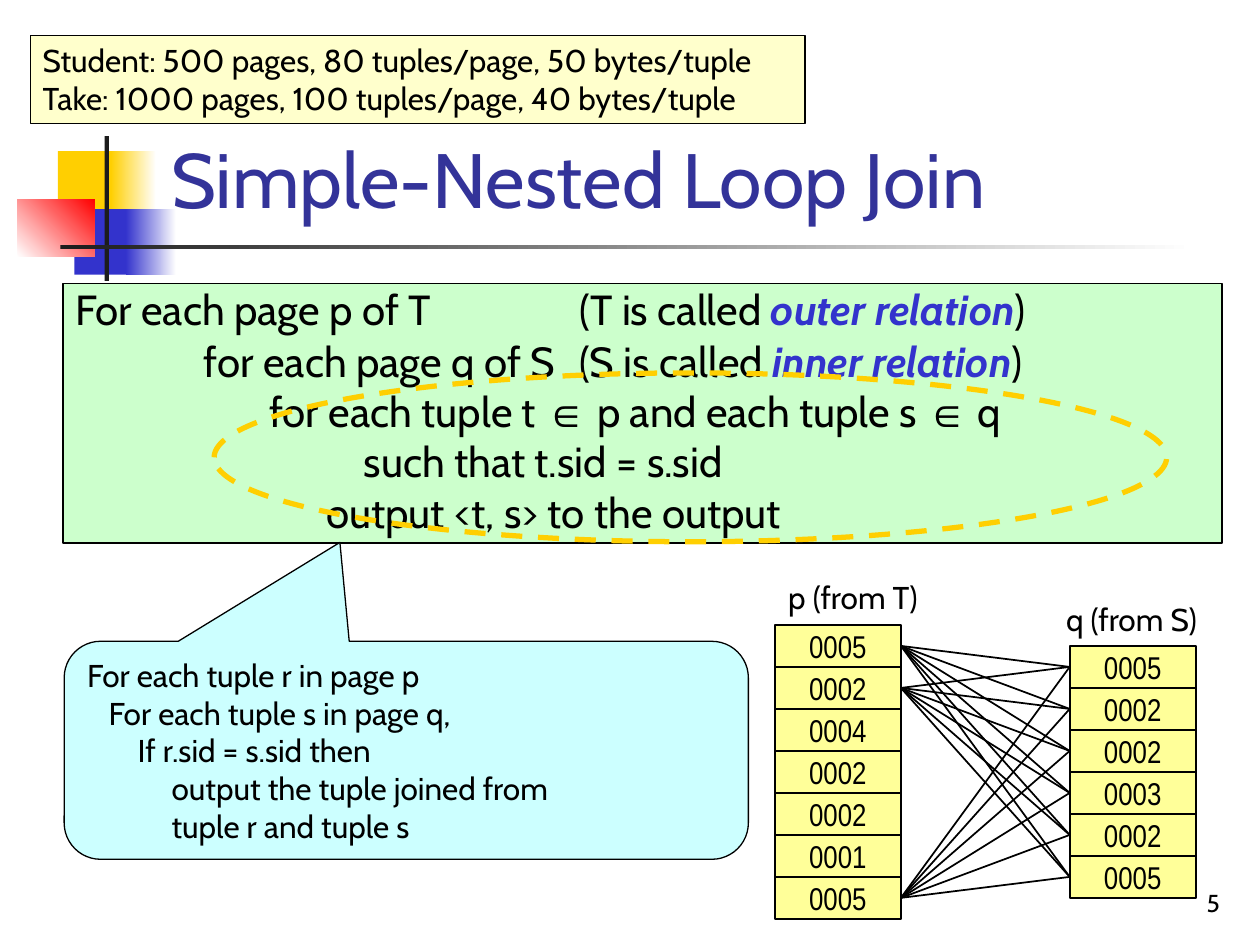
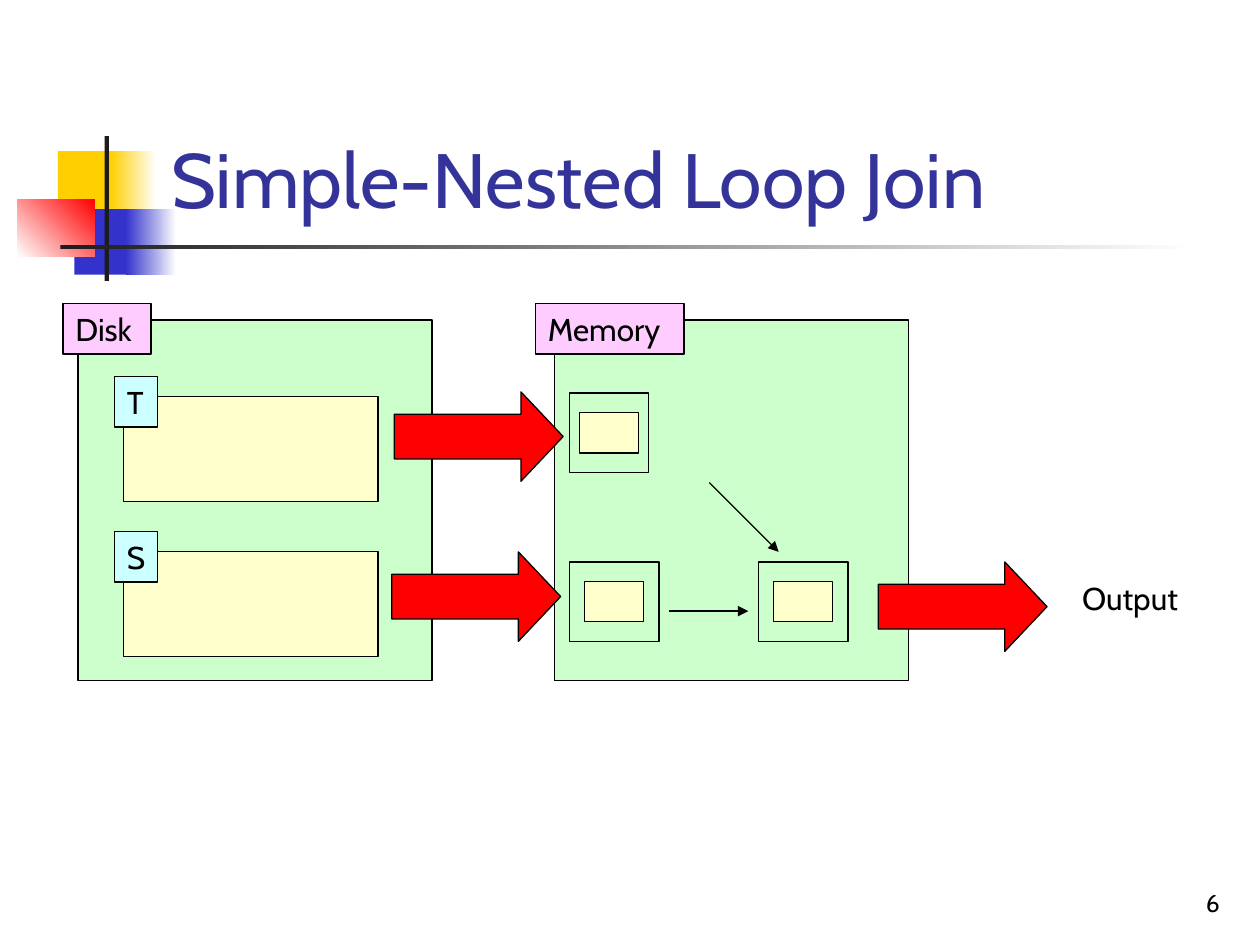
from dataclasses import dataclass
from itertools import product

from lxml.etree import SubElement as Sub
from pptx import Presentation
from pptx.dml.color import RGBColor as RGB
from pptx.enum.dml import MSO_LINE as Dash
from pptx.enum.shapes import MSO_CONNECTOR as Wire, MSO_SHAPE as Form
from pptx.enum.text import MSO_ANCHOR as Anchor, MSO_AUTO_SIZE as Fit, PP_ALIGN as Align
from pptx.oxml.ns import qn
from pptx.util import Inches, Pt

CELL = 0.1


@dataclass(frozen=True)
class Theme:
    """Colours, fonts and type sizes of the deck."""
    ink: str = "000000"
    white: str = "FFFFFF"
    dark: str = "1C1C1C"
    gold: str = "FFCF01"
    blue: str = "3333CC"
    red: str = "FF0000"
    title: str = "333399"
    green: str = "CCFFCC"
    cream: str = "FFFFCC"
    lemon: str = "FFFF99"
    aqua: str = "CCFFFF"
    pink: str = "FFCCFF"
    face: str = "Cabin"
    math: str = "Arial"
    data: str = "Arial Narrow"
    head: int = 44
    code: int = 24
    text: int = 18
    page: int = 14


T = Theme()


@dataclass(frozen=True)
class Box:
    """A region measured in grid cells."""
    x: float
    y: float
    w: float
    h: float

    def area(self, x, y, w, h):
        """Return a box offset from this one."""
        return Box(self.x + x, self.y + y, w, h)

    def mid(self, w, h):
        """Return a box centred in this one."""
        return self.area((self.w - w) / 2, (self.h - h) / 2, w, h)

    def emu(self):
        """Return left, top, width and height as lengths."""
        return [Inches(v * CELL) for v in (self.x, self.y, self.w, self.h)]


PAGE = Box(0, 0, 100, 75)


def apply(item, vals):
    """Set each named attribute of an item."""
    for key, val in vals.items():
        setattr(item, key, val)


def style(run, size=T.text, tint=T.ink, face=T.face, **more):
    """Format one run of text."""
    apply(run.font, {"size": Pt(size), "name": face, **more})
    run.font.color.rgb = RGB.from_string(tint)


def write(frame, lines, size=T.text, face=T.face, tint=T.ink,
          align=Align.LEFT, anchor=Anchor.TOP):
    """Fill a text frame with (indent, tab, runs) lines."""
    apply(frame, {"word_wrap": True, "auto_size": Fit.NONE, "vertical_anchor": anchor})
    for i, (inset, tab, runs) in enumerate(lines):
        para = frame.add_paragraph() if i else frame.paragraphs[0]
        para.alignment = align
        props = para._p.get_or_add_pPr()
        if inset:
            props.set("marL", "0")
            props.set("indent", str(Inches(inset * CELL)))
        if tab:
            stops = Sub(props, qn("a:tabLst"))
            Sub(stops, qn("a:tab"), pos=str(Inches(tab * CELL)), algn="l")
        for text, more in runs:
            run = para.add_run()
            run.text = text
            style(run, **{"size": size, "face": face, "tint": tint, **more})


def plain(*texts):
    """Turn strings into unindented lines."""
    return [(0, 0, [(text, {})]) for text in texts]


def shape(slide, box, fill=None, line=0.75, form=Form.RECTANGLE, tint=T.ink, adj=()):
    """Draw a preset shape; a pair of colours and an angle make a gradient."""
    item = slide.shapes.add_shape(form, *box.emu())
    item.shadow.inherit = False
    for i, val in enumerate(adj):
        item.adjustments[i] = val
    if isinstance(fill, tuple):
        first, last, angle = fill
        item.fill.gradient()
        item.fill.gradient_angle = angle
        for stop, hue, pos in zip(item.fill.gradient_stops, (first, last), (0, 1)):
            stop.color.rgb = RGB.from_string(hue)
            stop.position = pos
    elif fill:
        item.fill.solid()
        item.fill.fore_color.rgb = RGB.from_string(fill)
    else:
        item.fill.background()
    if line:
        item.line.width = Pt(line)
        item.line.color.rgb = RGB.from_string(tint)
    else:
        item.line.fill.background()
    return item


def label(slide, box, *texts, fill=None, **fmt):
    """Draw text in a box, outlined when it has a fill."""
    item = (shape(slide, box, fill) if fill
            else slide.shapes.add_textbox(*box.emu()))
    write(item.text_frame, plain(*texts), **fmt)


def link(slide, start, end, width=0.75, arrow=False):
    """Draw a straight line between two grid points."""
    ends = [Inches(v * CELL) for v in (*start, *end)]
    item = slide.shapes.add_connector(Wire.STRAIGHT, *ends)
    item.line.width = Pt(width)
    item.line.color.rgb = RGB.from_string(T.ink)
    props = item.element.spPr
    if arrow:
        Sub(props.find(qn("a:ln")), qn("a:tailEnd"), type="triangle")
    Sub(props, qn("a:effectLst"))


def brand(slide, box):
    """Move the squares and rules of the title band to the layout."""
    layout = slide.slide_layout
    for spot in list(layout.placeholders)[1:]:
        layout.shapes.element.remove(spot.element)
    for place, fill in (
        ((4.6, 12, 4.8, 5.2), T.gold),
        ((8.8, 12, 3.6, 5.2), (T.gold, T.white, 0)),
        ((5.9, 16.6, 4.6, 5.2), T.blue),
        ((10, 16.6, 4, 5.2), (T.blue, T.white, 0)),
        ((1.4, 15.8, 6.1, 4.6), (T.white, T.red, 45)),
        ((8.3, 10.8, 0.35, 11.5), T.dark),
        ((4.8, 19.45, 90, 0.35), (T.dark, T.white, 0)),
    ):
        item = shape(slide, box.area(*place), fill, line=0)
        layout.shapes.element.append(item.element)


def start(slide, box, page):
    """Place the title and the page number."""
    title = slide.shapes.title
    names = ("left", "top", "width", "height")
    apply(title, dict(zip(names, box.area(12.6, 2.3, 85.2, 16).emu())))
    write(title.text_frame, plain("Simple-Nested Loop Join"), T.head,
          tint=T.title, anchor=Anchor.BOTTOM)
    label(slide, box.area(77, 68.3, 20.8, 5), str(page), size=T.page,
          align=Align.RIGHT, anchor=Anchor.BOTTOM)


def loops(slide, box):
    """Show the nested loops and ring the inner steps."""
    term = {"tint": T.blue, "bold": True, "italic": True}
    sign = ("∈", {"face": T.math})
    frame = shape(slide, box, T.green).text_frame
    write(frame, [
        (0, 40, [("For each page p of T\t(T is called ", {}),
                 ("outer relation", term), (")", {})]),
        (10.2, 45, [("for each page q of S\t(S is called ", {}),
                    ("inner relation", term), (")", {})]),
        (15.4, 0, [("for each tuple t ", {}), sign,
                   (" p and each tuple s ", {}), sign, (" q", {})]),
        (22.9, 0, [("such that t.sid = s.sid", {})]),
        (19.9, 0, [("output <t, s> to the output", {})]),
    ], T.code)
    apply(frame.paragraphs[0], {"line_spacing": 0.9, "space_before": Pt(6)})
    ring = shape(slide, box.area(12, 7.1, 75.6, 13.4), line=3, form=Form.OVAL, tint=T.gold)
    ring.line.dash_style = Dash.DASH


def note(slide, box):
    """Explain the ringed step in a callout."""
    item = shape(slide, box, T.aqua, form=Form.ROUNDED_RECTANGULAR_CALLOUT,
                 adj=(-0.097, -0.954, 0.167))
    steps = (
        (0, "For each tuple r in page p"),
        (1.7, "For each tuple s in page q,"),
        (4, "If r.sid = s.sid then"),
        (6.7, "output the tuple joined from"),
        (6.7, "tuple r and tuple s"),
    )
    write(item.text_frame, [(inset, 0, [(text, {})]) for inset, text in steps],
          anchor=Anchor.MIDDLE)


def stack(slide, box, keys):
    """Pile one cell per key and return the row centres."""
    step = box.h / len(keys)
    for i, key in enumerate(keys):
        cell = shape(slide, box.area(0, i * step, box.w, step), T.lemon, line=1)
        write(cell.text_frame, plain(key), face=T.data,
              align=Align.CENTER, anchor=Anchor.MIDDLE)
    return [box.y + (i + 0.5) * step for i in range(len(keys))]


def match(slide, box):
    """Compare the tuples of two pages."""
    outer = "0005 0002 0004 0002 0002 0001 0005".split()
    inner = "0005 0002 0002 0003 0002 0005".split()
    row, wide = box.h / len(outer), 10
    right = box.w - wide
    lefts = stack(slide, box.area(0, 0, wide, box.h), outer)
    rights = stack(slide, box.area(right, row / 2, wide, row * len(inner)), inner)
    label(slide, box.area(-0.5, -4.2, 13.4, 4), "p (from T)", align=Align.CENTER)
    label(slide, box.area(21.6, -2.5, 13.4, 4), "q (from S)", align=Align.CENTER)
    for a, b in product((lefts[0], lefts[1], lefts[-1]), rights):
        link(slide, (box.x + wide, a), (box.x + right, b), 1)


def panel(slide, box, name, shift, wide):
    """Draw a storage area with its name tag."""
    shape(slide, box, T.green)
    label(slide, box.area(shift, -1.3, wide, 4), name, fill=T.pink)


def disk(slide, box):
    """Draw the disk and the two relations on it."""
    panel(slide, box, "Disk", -1.2, 7)
    for i, name in enumerate("TS"):
        file = box.area(3.6, 6.1 + 12.3 * i, 20.2, 8.3)
        shape(slide, file, T.cream)
        label(slide, file.area(-0.7, -1.6, 3.4, 4), name, fill=T.aqua)


def memory(slide, box):
    """Draw the memory, its buffers and the flow between them."""
    panel(slide, box, "Memory", -1.5, 11.8)
    for x, y, wide in ((1.2, 5.8, 6.3), (1.2, 19.2, 7.1), (16.2, 19.2, 7.1)):
        frame = box.area(x, y, wide, 6.3)
        shape(slide, frame)
        shape(slide, frame.mid(4.7, 3.2), T.cream)
    for x, y, dx, dy in ((12.3, 12.9, 5.5, 5.5), (9.1, 23.1, 6.3, 0)):
        tail = box.x + x, box.y + y
        link(slide, tail, (tail[0] + dx, tail[1] + dy), arrow=True)


def flow(slide, box):
    """Draw the transfers from disk to memory to output."""
    for x, y in ((0.2, 0), (0, 12.7), (38.6, 13.5)):
        shape(slide, box.area(x, y, 13.4, 7.1), T.red, form=Form.RIGHT_ARROW,
              adj=(0.5, 0.472))
    label(slide, box.area(53.8, 14.4, 10.4, 4), "Output")


def code(slide, box):
    """Build the slide on the algorithm."""
    start(slide, box, 5)
    loops(slide, box.area(5, 22.5, 92, 20.6))
    match(slide, box.area(61.5, 49.6, 33.4, 23.33))
    label(slide, box.area(2.4, 2.8, 61.5, 7),
          "Student: 500 pages, 80 tuples/page, 50 bytes/tuple",
          "Take: 1000 pages, 100 tuples/page, 40 bytes/tuple", fill=T.cream)
    note(slide, box.area(5.1, 50.9, 54.3, 17.3))


def store(slide, box):
    """Build the slide on disk and memory."""
    start(slide, box, 6)
    disk(slide, box.area(6.2, 25.4, 28.1, 28.6))
    memory(slide, box.area(44, 25.4, 28.1, 28.6))
    flow(slide, box.area(31.1, 31.1, 64.2, 20.6))


def main():
    """Build and save the deck."""
    deck = Presentation()
    apply(deck, {"slide_width": Inches(PAGE.w * CELL), "slide_height": Inches(PAGE.h * CELL)})
    layout = deck.slide_layouts[5]
    slides = [deck.slides.add_slide(layout) for _ in range(2)]
    brand(slides[0], PAGE)
    for build, slide in zip((code, store), slides):
        build(slide, PAGE)
    deck.save("out.pptx")


if __name__ == "__main__":
    main()
